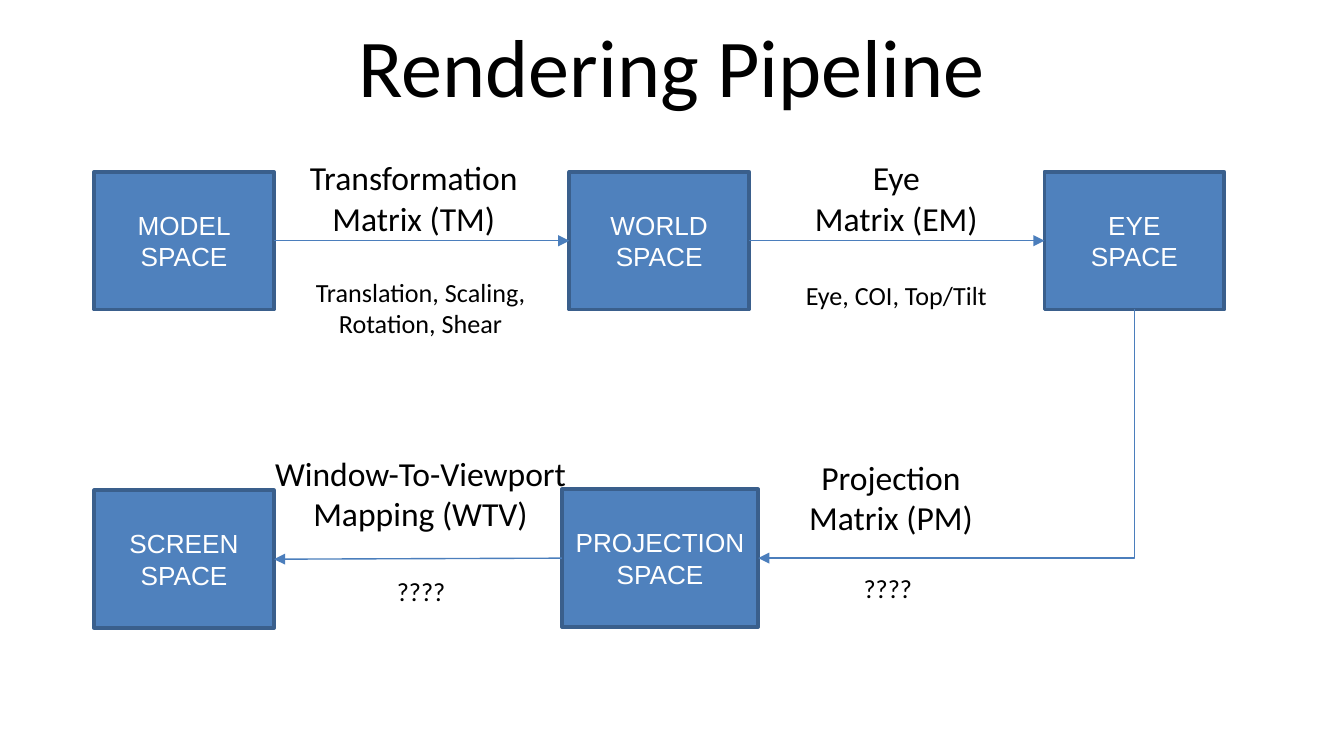
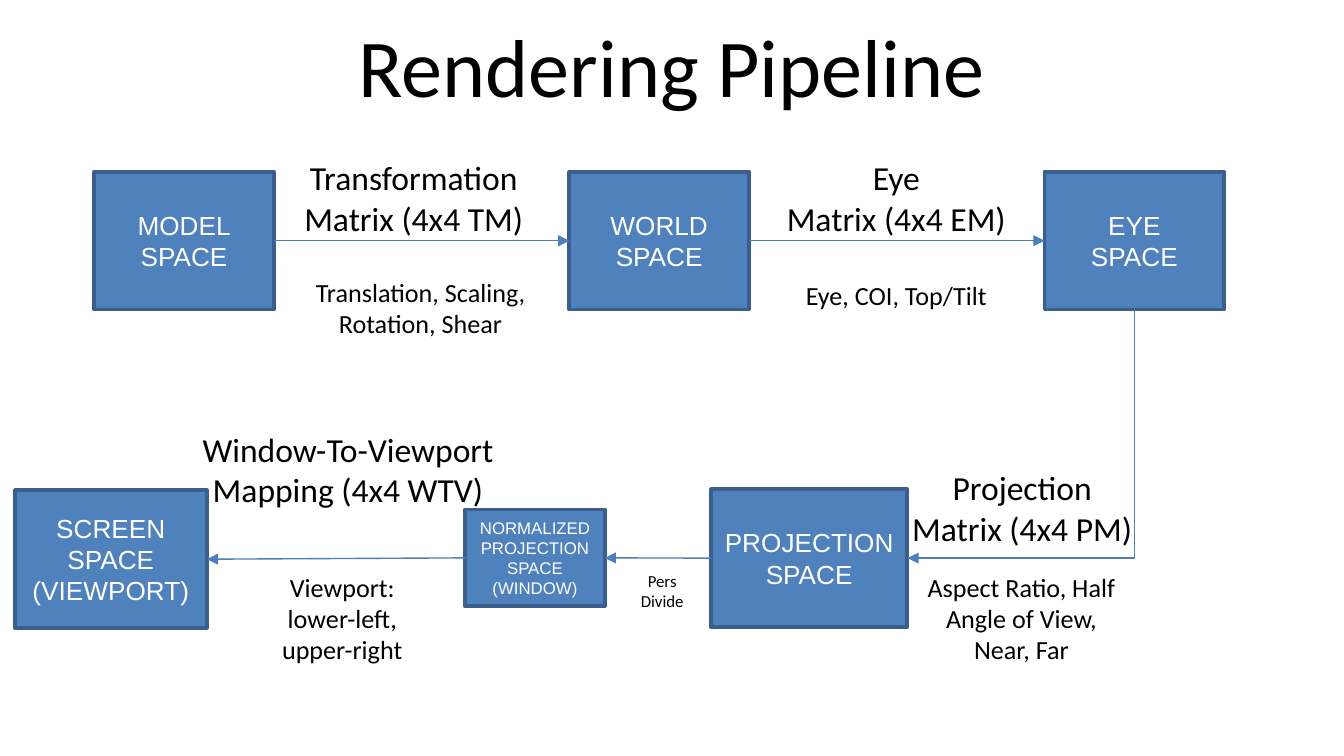
import pptx
import pptx.util
import pptx.oxml
import pptx.oxml.ns
import pptx.dml.color
import pptx.enum.shapes
import pptx.enum.text

Cm = pptx.util.Cm
qn = pptx.oxml.ns.qn
COLORS = {"fill": "4F81BD", "edge": "3A5F8C", "line": "4B7EBC",
          "text": "000000", "light": "FFFFFF"}
LEFT, BOTTOM, RIGHT = 1, 2, 3
WIDE, TALL = 3.4, 2.6
LABEL = 6.2


def tint(name):
    return pptx.dml.color.RGBColor.from_string(COLORS[name])


def write(frame, text, size, font, color):
    frame.text = text
    frame.word_wrap = True
    frame.vertical_anchor = pptx.enum.text.MSO_ANCHOR.MIDDLE
    for para in frame.paragraphs:
        para.alignment = pptx.enum.text.PP_ALIGN.CENTER
        for run in para.runs:
            run.font.size = pptx.util.Pt(size)
            run.font.name = font
            run.font.color.rgb = tint(color)


def pad(frame):
    frame.margin_left = frame.margin_right = Cm(0.25)
    frame.margin_top = frame.margin_bottom = Cm(0.25)


def place(box, left, top, width, height):
    return Cm(box[0] + left), Cm(box[1] + top), Cm(width), Cm(height)


def stage(slide, box, text, left, top, width=WIDE, height=TALL, size=14):
    shape = slide.shapes.add_shape(
        pptx.enum.shapes.MSO_SHAPE.RECTANGLE,
        *place(box, left, top, width, height))
    shape.shadow.inherit = False
    shape.fill.solid()
    shape.fill.fore_color.rgb = tint("fill")
    shape.line.color.rgb = tint("edge")
    shape.line.width = pptx.util.Pt(2)
    write(shape.text_frame, text, size, "Arial", "light")
    return shape


def label(slide, box, text, size, left, top, width=LABEL, height=1.47):
    shape = slide.shapes.add_textbox(*place(box, left, top, width, height))
    pad(shape.text_frame)
    write(shape.text_frame, text, size, "Calibri", "text")


def arrow(slide, start, end, out, into, kind="STRAIGHT"):
    link = slide.shapes.add_connector(
        pptx.enum.shapes.MSO_CONNECTOR[kind], 0, 0, 0, 0)
    link.begin_connect(start, out)
    link.end_connect(end, into)
    link.line.color.rgb = tint("line")
    link.line.width = pptx.util.Pt(0.75)
    props = link._element.spPr
    tail = pptx.oxml.parse_xml(
        '<a:tailEnd %s type="triangle"/>' % pptx.oxml.ns.nsdecls("a"))
    props.find(qn("a:ln")).append(tail)
    props.append(pptx.oxml.parse_xml(
        "<a:effectLst %s/>" % pptx.oxml.ns.nsdecls("a")))
    return link


def bend(slide, start, end):
    link = arrow(slide, start, end, BOTTOM, RIGHT, "ELBOW")
    props = link._element.spPr
    props.find(qn("a:prstGeom")).set("prst", "bentConnector2")
    frame = props.find(qn("a:xfrm"))
    for name in ("flipH", "flipV"):
        frame.attrib.pop(name, None)
    frame.set("rot", "5400000")
    wide, tall = link.width, link.height
    shift = (wide - tall) // 2
    link.left, link.top = link.left + shift, link.top - shift
    link.width, link.height = tall, wide


def title(slide, box):
    shape = slide.shapes.title
    shape.left, shape.top, shape.width, shape.height = place(box, 0, 0, 22.86, 1.96)
    pad(shape.text_frame)
    write(shape.text_frame, "Rendering Pipeline", 44, "Calibri", "text")


def upper(slide, box, dims):
    label(slide, box, f"Transformation\nMatrix ({dims}TM)", 18, 2.94, 0)
    label(slide, box, f"Eye\nMatrix ({dims}EM)", 18, 12.06, 0)
    model, world, eye = [
        stage(slide, box, f"{name}\nSPACE", 8.98 * col, 0.25)
        for col, name in enumerate(("MODEL", "WORLD", "EYE"))]
    arrow(slide, model, world, RIGHT, LEFT)
    arrow(slide, world, eye, RIGHT, LEFT)
    label(slide, box, "Translation, Scaling, Rotation, Shear", 14, 3.07, 2.08)
    label(slide, box, "Eye, COI, Top/Tilt", 14, 12.06, 1.85)
    return eye


def brief(slide, box, eye):
    proj = stage(slide, box, "PROJECTION\nSPACE", 8.84, 0.66, 3.71)
    screen = stage(slide, box, "SCREEN\nSPACE", 0, 0.68)
    arrow(slide, proj, screen, LEFT, RIGHT)
    bend(slide, eye, proj)
    label(slide, box, "????", 14, 13.26, 1.8, 3.48)
    label(slide, box, "????", 14, 4.54, 1.85, 3.28)
    label(slide, box, "Projection\nMatrix (PM)", 18, 12.19, 0.07, 5.74)
    label(slide, box, "Window-To-Viewport Mapping (WTV)", 18, 3.07, 0)


def full(slide, box, eye):
    proj = stage(slide, box, "PROJECTION\nSPACE", 13.16, 1.12, 3.71)
    screen = stage(slide, box, "SCREEN\nSPACE\n(VIEWPORT)", 0, 1.14, 3.63)
    label(slide, box, "Aspect Ratio, Half Angle of View, Near, Far", 14, 16.97, 2.82, 4.11)
    label(slide, box, "Viewport: lower-left, upper-right", 14, 4.55, 2.82, 3.28)
    label(slide, box, "Projection\nMatrix (4x4 PM)", 18, 16.69, 0.73, 4.7)
    label(slide, box, "Window-To-Viewport Mapping (4x4 WTV)", 18, 3.2, 0)
    norm = stage(slide, box, "NORMALIZED PROJECTION\nSPACE\n(WINDOW)",
                 8.51, 1.5, 2.64, 1.83, 9)
    bend(slide, eye, proj)
    arrow(slide, proj, norm, LEFT, RIGHT)
    arrow(slide, norm, screen, LEFT, RIGHT)
    label(slide, box, "Pers Divide", 9, 11.45, 2.67, 1.57, 0.74)


def main():
    deck = pptx.Presentation()
    deck.slide_width, deck.slide_height = Cm(25.4), Cm(14.29)
    for dims, lower, box in (("", brief, (1.78, 8.59)),
                             ("4x4 ", full, (0.28, 8.13))):
        slide = deck.slides.add_slide(deck.slide_layouts[5])
        title(slide, (1.27, 0.25))
        eye = upper(slide, (1.78, 3), dims)
        lower(slide, box, eye)
    deck.save("out.pptx")


if __name__ == "__main__":
    main()
